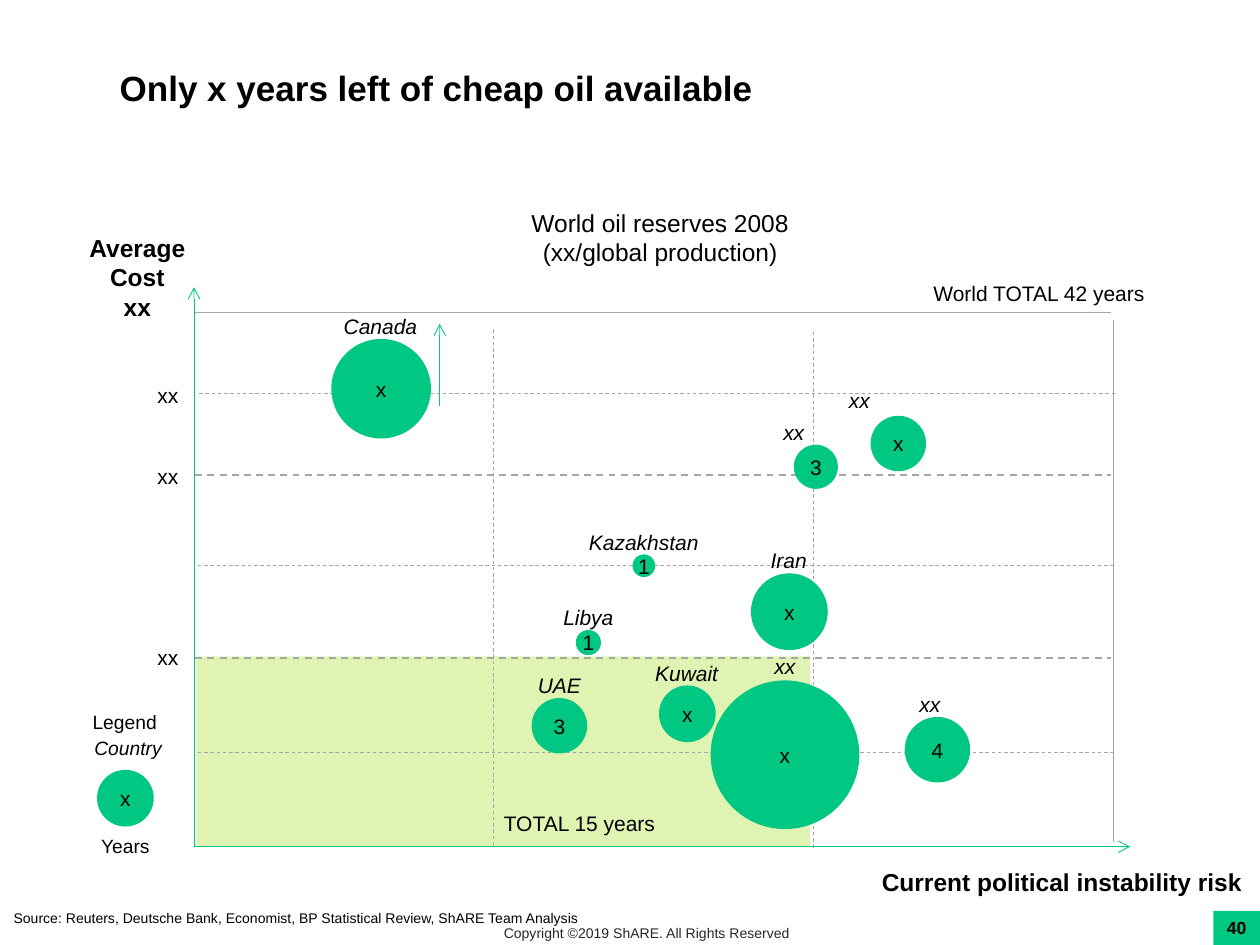
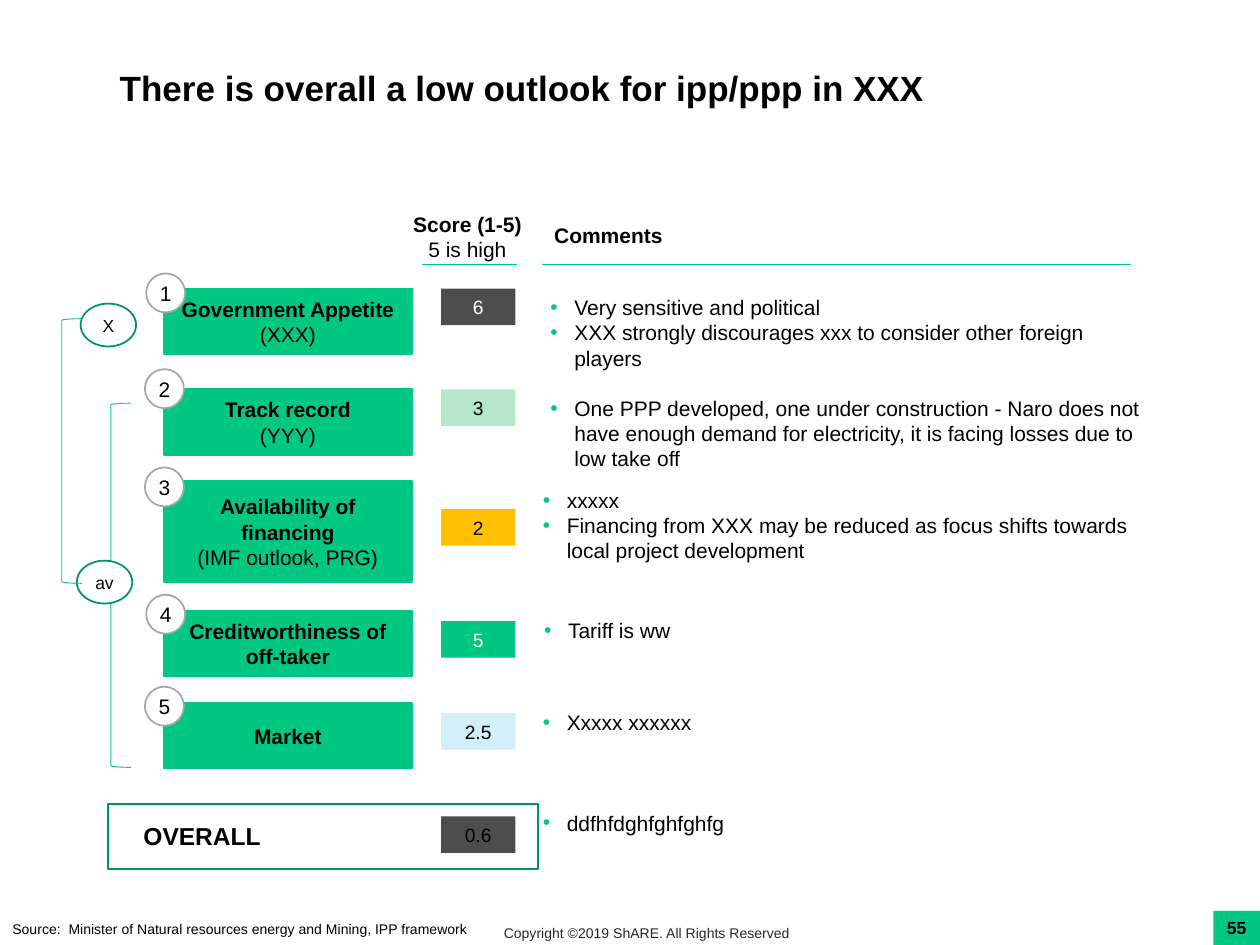
from lxml.etree import SubElement
from pptx import Presentation
from pptx.dml.color import RGBColor
from pptx.enum.dml import MSO_LINE
from pptx.enum.shapes import MSO_CONNECTOR, MSO_SHAPE as SHAPE
from pptx.enum.text import MSO_ANCHOR as ANCHOR, PP_ALIGN as ALIGN
from pptx.oxml.ns import qn
from pptx.util import Inches, Pt

GREEN = RGBColor(0x00, 0xC7, 0x82)
DEEP = RGBColor(0x00, 0x93, 0x60)
LIME = RGBColor(0xDF, 0xF3, 0xB3)
MINT = RGBColor(0xB7, 0xE6, 0xCA)
AMBER = RGBColor(0xFF, 0xC0, 0x00)
SKY = RGBColor(0xD2, 0xEF, 0xFA)
DARK = RGBColor(0x4D, 0x4D, 0x4D)
GREY = RGBColor(0xA6, 0xA6, 0xA6)
INK = RGBColor(0x26, 0x26, 0x26)
BLACK = RGBColor(0x00, 0x00, 0x00)
WHITE = RGBColor(0xFF, 0xFF, 0xFF)
FONT = "Arial"
NAME_WIDTH = 1.4

# Name, years, left, top and size of the bubble, centre and top of the name
BUBBLES = [
    ("xx", "x", 5.64, 5.4, 1.18, 6.23, 5.14),
    ("Canada", "x", 2.63, 2.69, 0.79, 3.02, 2.44),
    ("Iran", "x", 5.96, 4.55, 0.61, 6.26, 4.3),
    ("Kazakhstan", "1", 5.02, 4.4, 0.18, 5.11, 4.15),
    ("xx", "4", 7.18, 5.69, 0.52, 7.38, 5.44),
    ("Kuwait", "x", 5.23, 5.44, 0.45, 5.45, 5.19),
    ("xx", "x", 6.91, 3.3, 0.44, 6.82, 3.03),
    ("UAE", "3", 4.22, 5.54, 0.44, 4.44, 5.29),
    ("xx", "3", 6.3, 3.53, 0.35, 6.3, 3.28),
    ("Libya", "1", 4.57, 5, 0.2, 4.67, 4.75),
]

# Name, detail, top and height of the box, left and top of the number,
# score, its top, fill and ink, comments, their left, top and width
FACTORS = [
    ("Government Appetite", "(XXX)", 2.29, 0.52, 1.16, 2.17,
     "6", 2.29, DARK, WHITE,
     ["Very sensitive and political",
      "XXX strongly discourages xxx to consider other foreign players"],
     4.27, 2.29, 4.83),
    ("Track record", "(YYY)", 3.09, 0.52, 1.15, 2.93,
     "3", 3.09, MINT, BLACK,
     ["One PPP developed, one under construction - Naro does not have enough "
      "demand for electricity, it is facing losses due to low take off"],
     4.27, 3.09, 4.98),
    ("Availability of financing", "(IMF outlook, PRG)", 3.82, 0.8, 1.15, 3.71,
     "2", 4.04, AMBER, BLACK,
     ["xxxxx", "Financing from XXX may be reduced as focus shifts towards "
      "local project development"],
     4.21, 3.82, 4.89),
    ("Creditworthiness of off-taker", "", 4.85, 0.52, 1.16, 4.72,
     "5", 4.93, GREEN, WHITE, ["Tariff is ww"], 4.22, 4.85, 5.45),
    ("Market", "", 5.58, 0.52, 1.15, 5.45,
     "2.5", 5.66, SKY, BLACK, ["Xxxxx xxxxxx"], 4.21, 5.58, 5.17),
]


def style(frame, size, bold=False, italic=False, color=BLACK, align=ALIGN.LEFT):
    """Format every run of a text frame alike."""
    for para in frame.paragraphs:
        para.alignment = align
        for run in para.runs:
            font = run.font
            font.name, font.size = FONT, Pt(size)
            font.bold, font.italic = bold, italic
            font.color.rgb = color


def write(slide, text, left, top, width, height, size=12, wrap=False, **look):
    box = slide.shapes.add_textbox(
        Inches(left), Inches(top), Inches(width), Inches(height))
    frame = box.text_frame
    frame.word_wrap = wrap
    frame.text = text
    style(frame, size, **look)
    return frame


def draw(slide, kind, left, top, width, height, fill=None, edge=None, weight=1):
    shape = slide.shapes.add_shape(
        kind, Inches(left), Inches(top), Inches(width), Inches(height))
    shape.shadow.inherit = False
    if fill is None:
        shape.fill.background()
    else:
        shape.fill.solid()
        shape.fill.fore_color.rgb = fill
    if edge is None:
        shape.line.fill.background()
    else:
        shape.line.color.rgb = edge
        shape.line.width = Pt(weight)
    return shape


def label(shape, text, size=12, wrap=False, **look):
    """Centre text in a shape."""
    frame = shape.text_frame
    frame.word_wrap = wrap
    frame.vertical_anchor = ANCHOR.MIDDLE
    if not wrap:
        frame.margin_left = frame.margin_right = 0
        frame.margin_top = frame.margin_bottom = 0
    frame.text = text
    style(frame, size, align=ALIGN.CENTER, **look)
    return frame


def rule(slide, x1, y1, x2, y2, color=GREY, weight=0.5, dash=False, arrow=False):
    line = slide.shapes.add_connector(
        MSO_CONNECTOR.STRAIGHT, Inches(x1), Inches(y1), Inches(x2), Inches(y2))
    line.line.color.rgb = color
    line.line.width = Pt(weight)
    if dash:
        line.line.dash_style = MSO_LINE.DASH
    props = line._element.spPr
    if arrow:
        SubElement(props.find(qn("a:ln")), qn("a:tailEnd"), type="arrow")
    SubElement(props, qn("a:effectLst"))


def bullets(slide, items, left, top, width):
    frame = write(slide, "\n".join(items), left, top, width, 0.3, wrap=True)
    for para in frame.paragraphs:
        props = para._p.get_or_add_pPr()
        props.set("marL", str(Inches(0.19)))
        props.set("indent", str(-Inches(0.19)))
        tint = SubElement(props, qn("a:buClr"))
        SubElement(tint, qn("a:srgbClr"), val=str(GREEN))
        SubElement(props, qn("a:buFont"), typeface=FONT)
        SubElement(props, qn("a:buChar"), char="•")


def start(deck, title, number):
    """Add a slide with its title, page number and copyright line."""
    slide = deck.slides.add_slide(deck.slide_layouts[5])
    page = draw(slide, SHAPE.RECTANGLE, 9.63, 7.23, 0.37, 0.27, GREEN)
    label(page, number, 10, bold=True)
    write(slide, "Copyright ©2019 ShARE. All Rights Reserved",
          3.9, 7.29, 2.54, 0.24, 8, color=INK)
    head = slide.shapes.title
    head.left, head.top = Inches(0.85), Inches(0.17)
    head.width, head.height = Inches(8.82), Inches(1.09)
    frame = head.text_frame
    frame.text = title
    frame.vertical_anchor = ANCHOR.MIDDLE
    frame.paragraphs[0].line_spacing = 0.9
    style(frame, 20, bold=True)
    return slide


def bubble(slide, years, left, top, size):
    label(draw(slide, SHAPE.OVAL, left, top, size, size, GREEN), years)


def score(slide, value, top, fill, ink):
    box = draw(slide, SHAPE.RECTANGLE, 3.5, top, 0.59, 0.29, fill)
    label(box, value, 11, color=ink)


def grid(slide):
    draw(slide, SHAPE.RECTANGLE, 1.56, 5.21, 4.87, 1.51, LIME)
    for left, y, weight in [(1.58, 3.12, 0.5), (1.55, 3.77, 1), (1.57, 4.49, 0.5),
                            (1.55, 5.22, 1), (1.57, 5.97, 0.5)]:
        rule(slide, left, y, left + 7.27, y, weight=weight, dash=True)
    for x, foot in [(3.92, 6.71), (6.46, 6.73)]:
        rule(slide, x, foot, x, foot - 4.11, dash=True)
    rule(slide, 1.55, 2.48, 8.82, 2.48)
    rule(slide, 8.84, 6.68, 8.84, 2.54)
    for ends in [(1.55, 6.72, 8.97, 6.72), (1.54, 6.72, 1.54, 2.28),
                 (3.49, 3.22, 3.49, 2.57)]:
        rule(slide, *ends, color=GREEN, arrow=True)
    for top in (2.99, 3.63, 5.07):
        write(slide, "xx", 1.15, top, 0.39, 0.3)


def legend(slide):
    write(slide, "Legend", 0.63, 5.59, 0.72, 0.29, 11, align=ALIGN.CENTER)
    write(slide, "Country", 0.65, 5.79, 0.74, 0.29, 11, italic=True)
    bubble(slide, "x", 0.77, 6.11, 0.45)
    write(slide, "Years", 0.59, 6.57, 0.81, 0.29, 11, align=ALIGN.CENTER)


def oil(deck):
    slide = start(deck, "Only x years left of cheap oil available", "40")
    grid(slide)
    write(slide, "Current political instability risk", 6.9, 6.83, 3.1, 0.34, 14,
          bold=True)
    write(slide, "Average\nCost\nxx", 0.58, 1.8, 1.02, 0.81, 14, bold=True,
          align=ALIGN.CENTER)
    write(slide, "World oil reserves 2008\n(xx/global production)",
          4.02, 1.6, 2.44, 0.57, 14, align=ALIGN.CENTER)
    for name, years, left, top, size, mid, above in BUBBLES:
        bubble(slide, years, left, top, size)
        write(slide, name, mid - NAME_WIDTH / 2, above, NAME_WIDTH, 0.3,
              italic=True, align=ALIGN.CENTER)
    write(slide, "TOTAL 15 years", 3.9, 6.38, 1.51, 0.3)
    write(slide, "World TOTAL 42 years", 7.31, 2.18, 2.03, 0.3)
    legend(slide)
    write(slide, "Source: Reuters, Deutsche Bank, Economist, BP Statistical Review, "
          "ShARE Team Analysis", 0.01, 7.17, 5.24, 0.24, 8, wrap=True)


def factor(slide, number, row):
    (name, detail, top, height, left, above,
     value, level, fill, ink, items, *place) = row
    box = draw(slide, SHAPE.RECTANGLE, 1.3, top, 1.97, height, GREEN, GREEN)
    text = f"{name}\n{detail}" if detail else name
    frame = label(box, text, wrap=True, bold=True)
    if detail:
        frame.paragraphs[1].runs[0].font.bold = False
    badge = draw(slide, SHAPE.OVAL, left, above, 0.31, 0.31, WHITE, GREY)
    label(badge, str(number))
    score(slide, value, level, fill, ink)
    bullets(slide, items, *place)


def outlook(deck):
    slide = start(deck, "There is overall a low outlook for ipp/ppp in XXX", "55")
    head = write(slide, "Score (1-5)\n5 is high", 3.04, 1.63, 1.34, 0.5, wrap=True,
                 bold=True, align=ALIGN.CENTER)
    head.paragraphs[1].runs[0].font.bold = False
    write(slide, "Comments", 4.3, 1.72, 1.33, 0.3, wrap=True, bold=True)
    for left, right in [(3.35, 4.1), (4.3, 8.98)]:
        rule(slide, left, 2.1, right, 2.1, GREEN)
    for number, row in enumerate(FACTORS, 1):
        factor(slide, number, row)
    write(slide, "OVERALL", 1.04, 6.47, 1.14, 0.34, 14, bold=True)
    score(slide, "0.6", 6.48, DARK, BLACK)
    draw(slide, SHAPE.RECTANGLE, 0.86, 6.38, 3.41, 0.52, edge=DEEP)
    bullets(slide, ["ddfhfdghfghfghfg"], 4.21, 6.38, 5.17)
    draw(slide, SHAPE.LEFT_BRACKET, 0.88, 3.2, 0.16, 2.89, edge=GREEN, weight=0.5)
    for text, left, top in [("av", 0.61, 4.45), ("X", 0.64, 2.41)]:
        label(draw(slide, SHAPE.OVAL, left, top, 0.44, 0.34, WHITE, DEEP), text, 10)
    draw(slide, SHAPE.LEFT_BRACKET, 0.49, 2.53, 0.16, 2.1, edge=GREEN, weight=0.5)
    write(slide, "Source:  Minister of Natural resources energy and Mining, "
          "IPP framework", 0, 7.26, 6.54, 0.24, 8, wrap=True)


def main():
    deck = Presentation()
    deck.slide_width, deck.slide_height = Inches(10), Inches(7.5)
    oil(deck)
    outlook(deck)
    deck.save("out.pptx")


if __name__ == "__main__":
    main()
